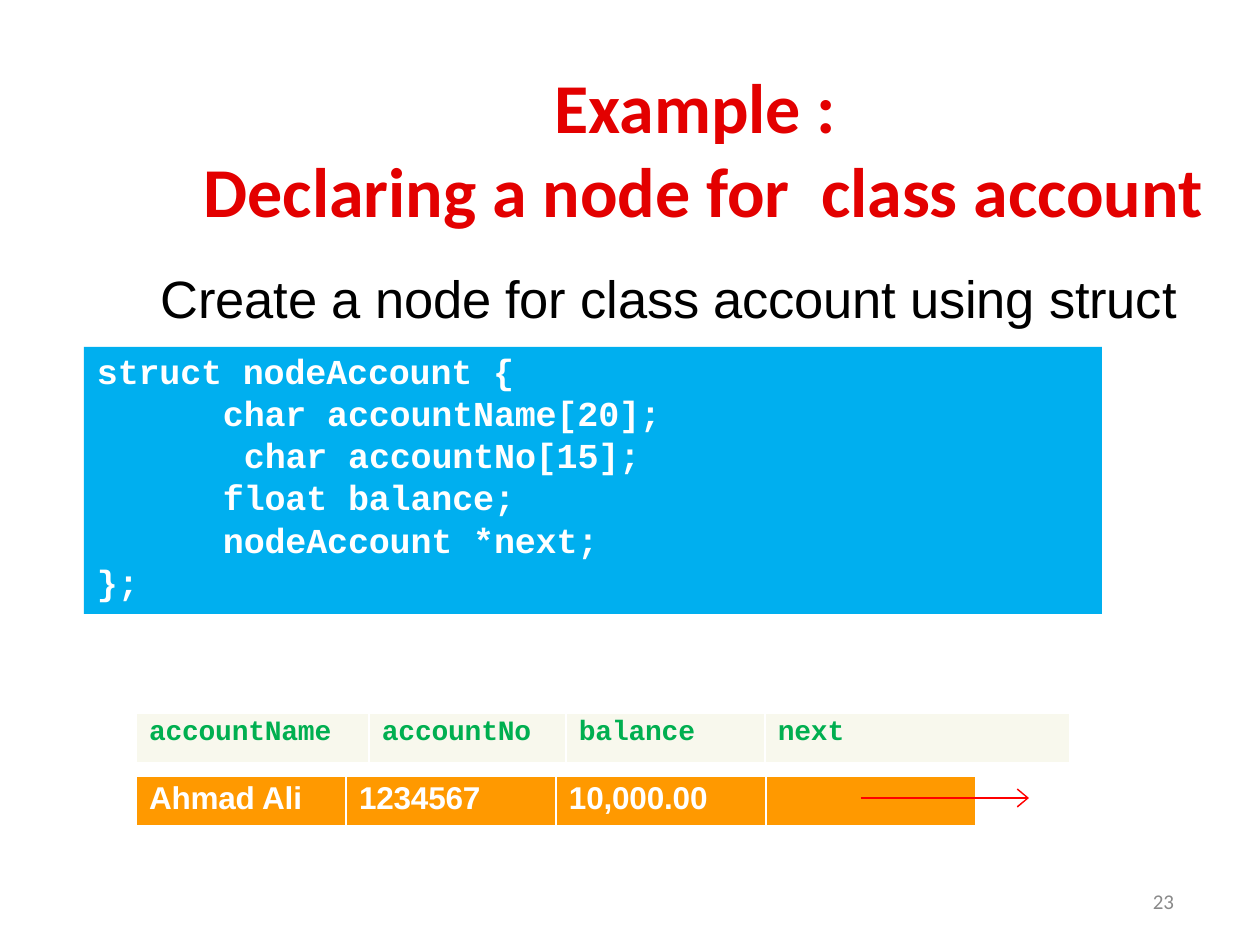
import lxml.etree
import pptx
import pptx.dml.color
import pptx.enum.shapes
import pptx.enum.text
import pptx.oxml.ns
import pptx.util

EMU_PER_PIXEL = 914400 / 126
ALIGN = pptx.enum.text.PP_ALIGN
ANCHOR = pptx.enum.text.MSO_ANCHOR


def px(length):
    return pptx.util.Emu(round(length * EMU_PER_PIXEL))


def color(hex_string):
    return pptx.dml.color.RGBColor.from_string(hex_string)


def add_element(parent, tag, **attributes):
    element = lxml.etree.SubElement(parent, pptx.oxml.ns.qn(tag))
    for name, value in attributes.items():
        element.set(name, str(value))
    return element


class SlideBuilder:
    RED = "E30000"
    ARROW_RED = "FF0000"
    BLUE = "00AFEF"
    GREEN = "00AF50"
    ORANGE = "FF9900"
    CREAM = "F8F8ED"
    BLACK = "000000"
    WHITE = "FFFFFF"
    GRAY = "898989"
    INDENT = 13
    TRACKING = -10  # hundredths of a point

    def __init__(self, slide):
        self.slide = slide

    def place(self, shape, left, top, width, height):
        shape.left, shape.top = px(left), px(top)
        shape.width, shape.height = px(width), px(height)

    def prepare_frame(self, frame, top_inset=1, anchor=ANCHOR.TOP):
        frame.word_wrap = True
        frame.auto_size = pptx.enum.text.MSO_AUTO_SIZE.NONE
        frame.vertical_anchor = anchor
        frame.margin_left = frame.margin_right = frame.margin_bottom = 0
        frame.margin_top = px(top_inset)

    def format_paragraph(self, paragraph, font, size, text_color, bold=False,
                         align=ALIGN.LEFT, before=0, indent=0, tracking=TRACKING):
        paragraph.alignment = align
        paragraph.space_before = pptx.util.Pt(before)
        properties = paragraph._p.get_or_add_pPr()
        properties.set("marL", str(px(indent)))
        properties.set("indent", "0")
        for run in paragraph.runs:
            run.font.name = font
            run.font.size = pptx.util.Pt(size)
            run.font.bold = bold
            run.font.color.rgb = color(text_color)
            run._r.get_or_add_rPr().set("spc", str(tracking))

    def title(self, text, *box):
        shape = self.slide.shapes.title
        self.place(shape, *box)
        self.prepare_frame(shape.text_frame, anchor=ANCHOR.MIDDLE)
        shape.text_frame.text = text
        paragraph = shape.text_frame.paragraphs[0]
        paragraph.line_spacing = 1.0
        self.format_paragraph(paragraph, "Calibri", 40, self.RED, bold=True,
                              align=ALIGN.CENTER, before=1, indent=1, tracking=0)

    def text(self, text, box, font, size, text_color, anchor=ANCHOR.TOP, **style):
        shape = self.slide.shapes.add_textbox(*map(px, box))
        self.prepare_frame(shape.text_frame, anchor=anchor)
        shape.text_frame.text = text
        self.format_paragraph(shape.text_frame.paragraphs[0], font, size,
                              text_color, **style)

    def code_block(self, lines, *box):
        """Each line is a pair of its indent in px and its text."""
        shape = self.slide.shapes.add_shape(
            pptx.enum.shapes.MSO_SHAPE.RECTANGLE, *map(px, box))
        shape.shadow.inherit = False
        shape.fill.solid()
        shape.fill.fore_color.rgb = color(self.BLUE)
        shape.line.fill.background()
        self.prepare_frame(shape.text_frame, top_inset=3)
        shape.text_frame.text = "\n".join(line for _, line in lines)
        for paragraph, (indent, _) in zip(shape.text_frame.paragraphs, lines):
            paragraph.line_spacing = pptx.util.Pt(24)
            self.format_paragraph(paragraph, "Courier New", 20, self.WHITE,
                                  bold=True, indent=indent)
        shape.text_frame.paragraphs[0].space_before = pptx.util.Pt(1.3)

    def cell_borders(self, cell):
        properties = cell._tc.get_or_add_tcPr()
        edges = (("a:lnL", 1), ("a:lnR", 1), ("a:lnT", 1), ("a:lnB", 3))
        for tag, points in edges:
            edge = add_element(properties, tag, w=pptx.util.Pt(points))
            fill = add_element(edge, "a:solidFill")
            add_element(fill, "a:srgbClr", val=self.WHITE)

    def row_table(self, values, left, top, widths, height, fill,
                  font, size, text_color, top_inset, before):
        table = self.slide.shapes.add_table(
            1, len(values), px(left), px(top), px(sum(widths)), px(height)).table
        table.rows[0].height = px(height)
        for column, (value, width) in enumerate(zip(values, widths)):
            table.columns[column].width = px(width)
            cell = table.cell(0, column)
            cell.margin_left = cell.margin_right = cell.margin_bottom = 0
            cell.margin_top = px(top_inset)
            cell.text_frame.text = value
            self.format_paragraph(cell.text_frame.paragraphs[0], font, size,
                                  text_color, bold=True, before=before,
                                  indent=self.INDENT)
            self.cell_borders(cell)
            cell.fill.solid()
            cell.fill.fore_color.rgb = color(fill)

    def arrow(self, start_x, end_x, y):
        connector = self.slide.shapes.add_connector(
            pptx.enum.shapes.MSO_CONNECTOR.STRAIGHT,
            px(start_x), px(y), px(end_x), px(y))
        connector.line.color.rgb = color(self.ARROW_RED)
        connector.line.width = pptx.util.Pt(1)
        add_element(connector.line._get_or_add_ln(), "a:tailEnd",
                    type="arrow", w="lg", len="med")
        add_element(connector._element.spPr, "a:effectLst")


def main():
    presentation = pptx.Presentation()
    presentation.slide_width = px(1260)
    presentation.slide_height = px(945)
    slide = presentation.slides.add_slide(presentation.slide_layouts[5])
    builder = SlideBuilder(slide)

    # Heading and introduction
    builder.title("Example : \vDeclaring a node for  class account", 160, 62, 1086, 171)
    builder.text("Create a node for class account using struct", (160, 265, 1027, 67),
                 "Arial", 30, builder.BLACK, before=1, indent=1)

    # Structure declaration
    outer, inner, letter = builder.INDENT, 139, 21
    builder.code_block([
        (outer, "struct nodeAccount {"),
        (inner, "char accountName[20];"),
        (inner + letter, "char accountNo[15];"),
        (inner, "float balance;"),
        (inner, "nodeAccount *next;"),
        (outer, "};"),
    ], 84, 347, 1018, 267)

    # Example node: values below the member names
    builder.row_table(["Ahmad Ali", "1234567", "10,000.00", ""], 136, 776, [210] * 4, 51,
                      builder.ORANGE, "Arial", 18, builder.WHITE, 5, 3.2)
    builder.row_table(["accountName", "accountNo", "balance", "next"],
                      136, 713, [233, 197, 199, 305], 51,
                      builder.CREAM, "Courier New", 16, builder.GREEN, 4, 2.2)
    builder.arrow(861, 1029, 798)

    # Slide number
    builder.text("23", (890, 876, 284, 50), "Calibri", 12, builder.GRAY,
                 anchor=ANCHOR.MIDDLE, align=ALIGN.RIGHT)

    presentation.save("out.pptx")


if __name__ == "__main__":
    main()
